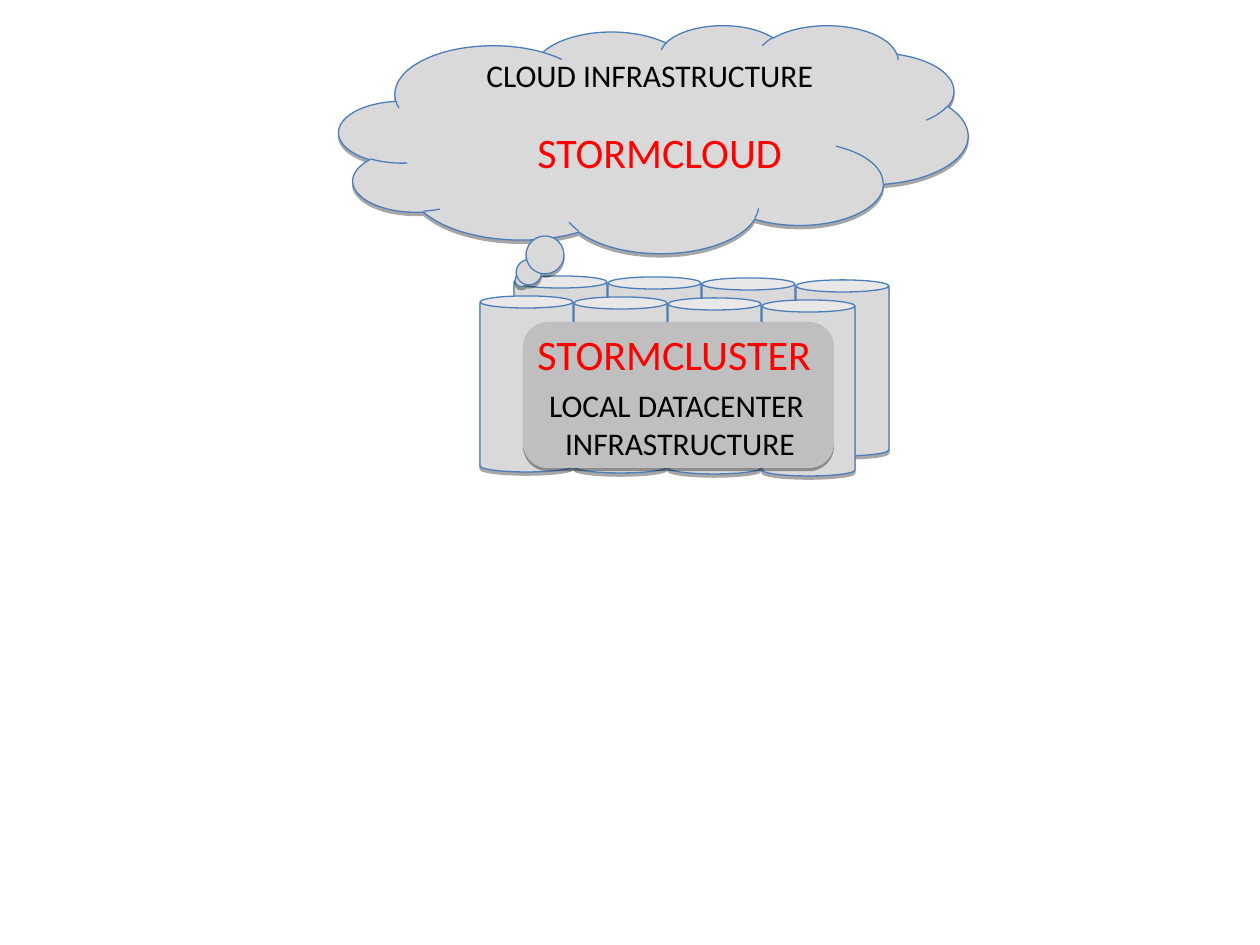
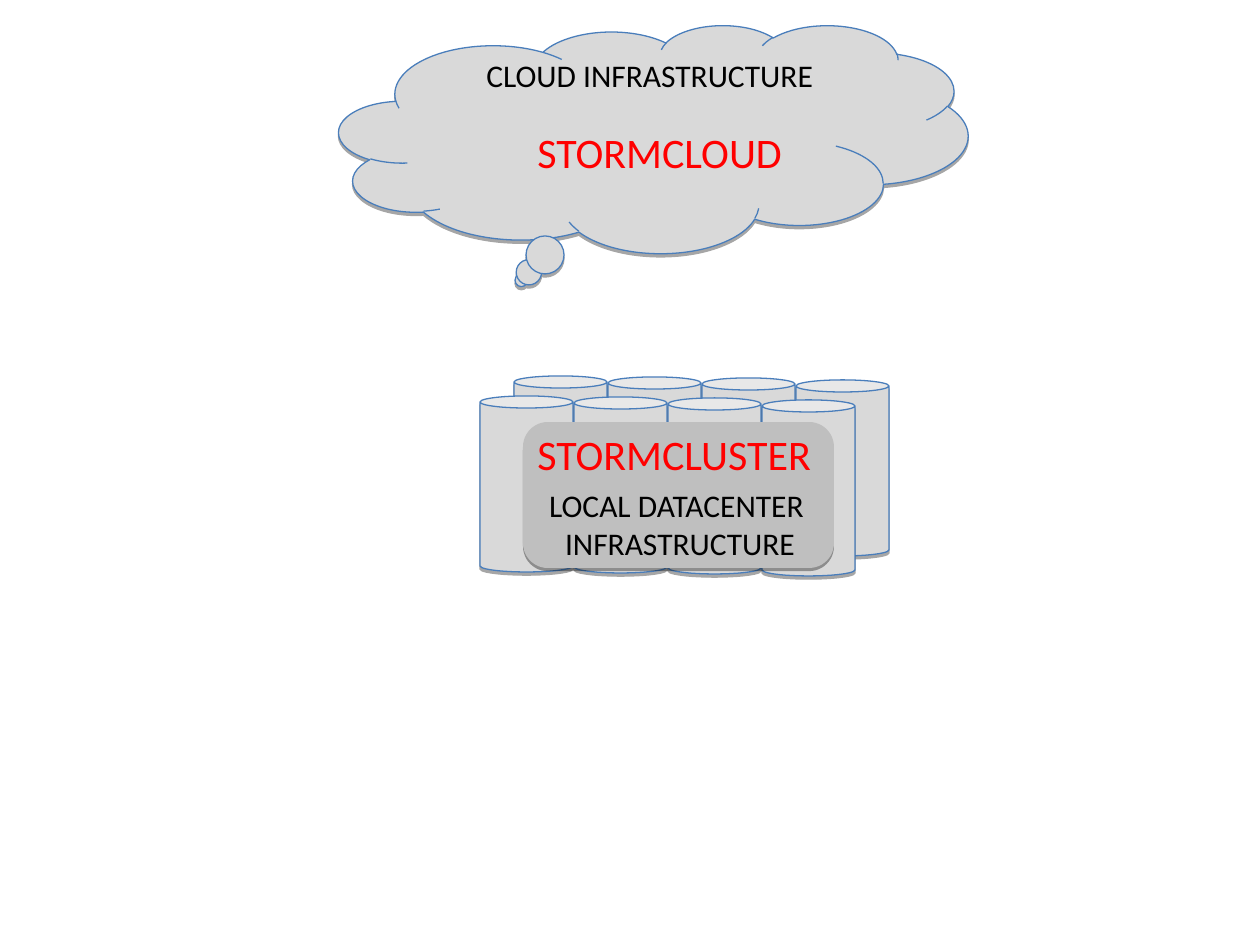
from lxml import etree
from pptx import Presentation
from pptx.dml.color import RGBColor
from pptx.enum.shapes import MSO_SHAPE
from pptx.enum.text import MSO_AUTO_SIZE, PP_ALIGN
from pptx.oxml.ns import qn
from pptx.util import Emu, Pt

CAN = MSO_SHAPE.CAN
CLOUD = MSO_SHAPE.CLOUD_CALLOUT
ROUNDED = MSO_SHAPE.ROUNDED_RECTANGLE
FIT_SHAPE = MSO_AUTO_SIZE.SHAPE_TO_FIT_TEXT
LEFT = PP_ALIGN.LEFT
CENTER = PP_ALIGN.CENTER

LIGHT_GRAY = RGBColor(0xD9, 0xD9, 0xD9)
GRAY = RGBColor(0xBF, 0xBF, 0xBF)
BLUE = RGBColor(0x4A, 0x7E, 0xBB)
RED = RGBColor(0xFF, 0x00, 0x00)
BLACK = RGBColor(0x00, 0x00, 0x00)

FONT = "Calibri"
LABEL_SIZE = 18
NAME_SIZE = 24
EMU_PER_PX = 914400 / 126

CANS_PER_ROW = 4
CAN_PITCH = 94
CLUSTER_TOPS = (276, 376)


def px(length):
    return Emu(round(length * EMU_PER_PX))


def add_shadow(shape):
    shape.shadow.inherit = False
    effects = shape._element.spPr.find(qn("a:effectLst"))
    shadow = etree.SubElement(effects, qn("a:outerShdw"), blurRad="0",
                              dist=str(Pt(1.8)), dir="5400000", rotWithShape="0")
    color = etree.SubElement(shadow, qn("a:srgbClr"), val=str(BLACK))
    etree.SubElement(color, qn("a:alpha"), val="35000")


def add_solid(slide, kind, box, adjustments, fill=LIGHT_GRAY, line=BLUE):
    shape = slide.shapes.add_shape(kind, *map(px, box))
    for index, value in enumerate(adjustments):
        shape.adjustments[index] = value
    add_shadow(shape)
    shape.fill.solid()
    shape.fill.fore_color.rgb = fill
    if line is None:
        shape.line.fill.background()
    else:
        shape.line.color.rgb = line
        shape.line.width = Pt(0.75)


def add_label(slide, box, lines, size, color, alignment=LEFT):
    frame = slide.shapes.add_textbox(*map(px, box)).text_frame
    frame.word_wrap = False
    frame.auto_size = FIT_SHAPE
    frame.text = "\n".join(lines)
    for paragraph in frame.paragraphs:
        paragraph.alignment = alignment
        paragraph.font.name = FONT
        paragraph.font.size = Pt(size)
        paragraph.font.color.rgb = color


def add_can_row(slide, left, top):
    for index in range(CANS_PER_ROW):
        box = (left + index * CAN_PITCH, top + index * 4 // 3, 93, 176)
        add_solid(slide, CAN, box, [0.13])


def add_cloud(slide):
    add_solid(slide, CLOUD, (339, 25, 629, 228), [-0.21, 0.62])
    add_label(slide, (474, 50, 353, 50), ["CLOUD INFRASTRUCTURE"], LABEL_SIZE, BLACK)
    add_label(slide, (525, 120, 272, 63), ["STORMCLOUD"], NAME_SIZE, RED)


def add_cluster_panel(slide, top):
    add_solid(slide, ROUNDED, (523, top, 311, 146), [0.17], GRAY, None)
    add_label(slide, (533, top + 58, 294, 88), ["LOCAL DATACENTER ", "INFRASTRUCTURE"],
              LABEL_SIZE, BLACK, CENTER)
    add_label(slide, (525, top, 301, 63), ["STORMCLUSTER"], NAME_SIZE, RED)


def add_infrastructure_slide(presentation, cluster_top):
    slide = presentation.slides.add_slide(presentation.slide_layouts[6])
    add_can_row(slide, 514, cluster_top)
    add_cloud(slide)
    add_can_row(slide, 480, cluster_top + 20)
    add_cluster_panel(slide, cluster_top + 46)


def main():
    presentation = Presentation()
    presentation.slide_width = px(1260)
    presentation.slide_height = px(945)
    for cluster_top in CLUSTER_TOPS:
        add_infrastructure_slide(presentation, cluster_top)
    presentation.save("out.pptx")


if __name__ == "__main__":
    main()
